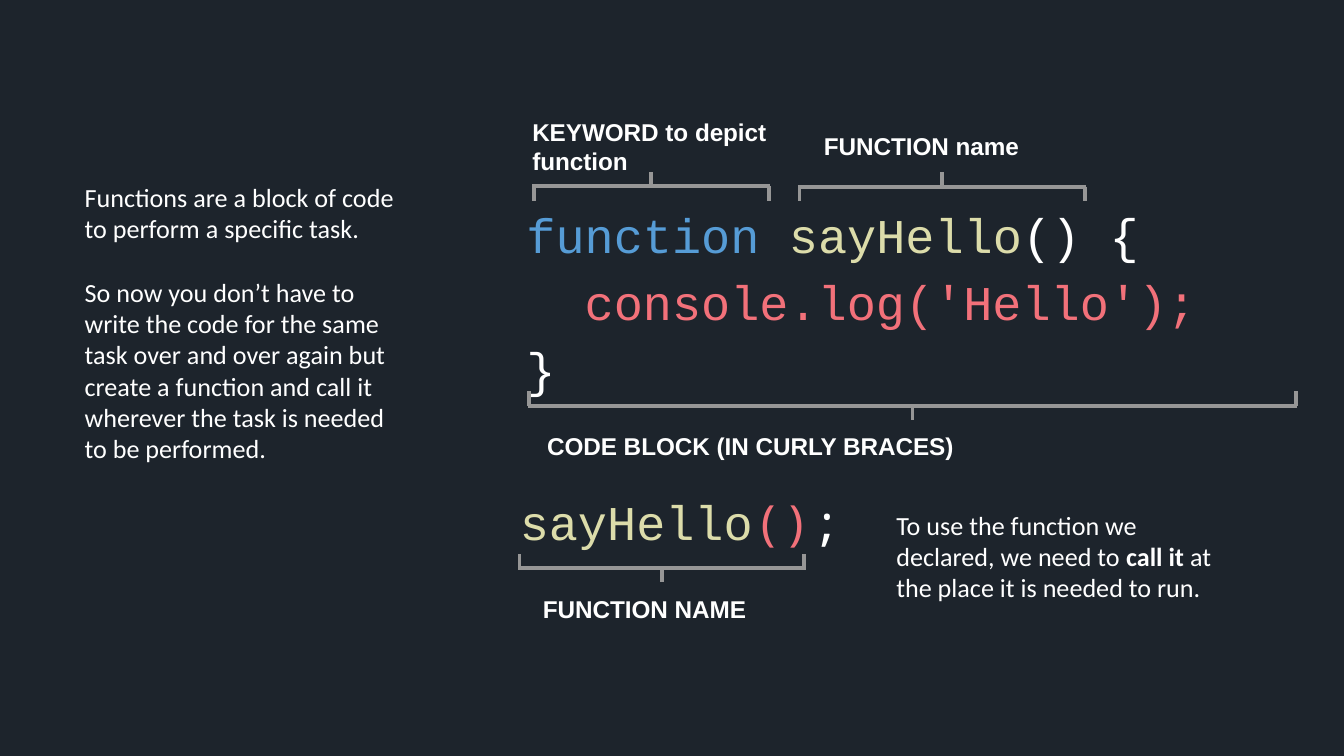
from pptx import Presentation
from pptx.dml.color import RGBColor
from pptx.enum.shapes import MSO_CONNECTOR
from pptx.enum.text import MSO_ANCHOR, MSO_AUTO_SIZE, PP_ALIGN
from pptx.oxml.ns import qn
from pptx.util import Cm, Pt
from lxml import etree

STRAIGHT = MSO_CONNECTOR.STRAIGHT
MIDDLE = MSO_ANCHOR.MIDDLE
FIT_SHAPE = MSO_AUTO_SIZE.SHAPE_TO_FIT_TEXT
LEFT = PP_ALIGN.LEFT
CENTER = PP_ALIGN.CENTER

NIGHT = RGBColor(0x1D, 0x24, 0x2C)
WHITE = RGBColor(0xFF, 0xFF, 0xFF)
GRAY = RGBColor(0x96, 0x96, 0x96)
BLUE = RGBColor(0x56, 0x9C, 0xD6)
YELLOW = RGBColor(0xDC, 0xDC, 0xAA)
CORAL = RGBColor(0xF2, 0x71, 0x7A)

BODY_FONT = "Calibri"
LABEL_FONT = "Arial"
CODE_FONT = "Courier New"
MONO_FONT = "Noto Sans Mono"

TICK = 0.27
HALF_LINE = 0.03


def add_box(shapes, left, top, width, height, inset):
    box = shapes.add_textbox(Cm(left), Cm(top), Cm(width), Cm(height))
    frame = box.text_frame
    frame.word_wrap = True
    frame.margin_left = frame.margin_right = Cm(inset)
    frame.margin_top = frame.margin_bottom = Cm(inset)
    return frame


def add_span(para, text, size, font, color=WHITE, bold=False):
    span = para.add_run()
    span.text = text
    span.font.size = Pt(size)
    span.font.name = font
    span.font.color.rgb = color
    span.font.bold = bold


def add_prose(page, left, top, height, paragraphs):
    frame = add_box(page.shapes, left, top, 6.65, height, 0.25)
    frame.auto_size = FIT_SHAPE
    for index, spans in enumerate(paragraphs):
        para = frame.add_paragraph() if index else frame.paragraphs[0]
        if index:
            para.space_before = Pt(17)
        for text, bold in spans:
            add_span(para, text, 14, BODY_FONT, bold=bold)


def add_code(page, left, top, height, lines, spacing, alignment):
    frame = add_box(page.shapes, left, top, 19.05, height, 1.85)
    frame.vertical_anchor = MIDDLE
    para = frame.paragraphs[0]
    para.alignment = alignment
    para.line_spacing = spacing
    for index, spans in enumerate(lines):
        if index:
            para.add_line_break()
        for text, color, font in spans:
            add_span(para, text, 26, font, color)


def add_line(shapes, x1, y1, x2, y2):
    line = shapes.add_connector(STRAIGHT, Cm(x1), Cm(y1), Cm(x2), Cm(y2))
    line.line.color.rgb = GRAY
    line.line.width = Pt(2)
    etree.SubElement(line._element.spPr, qn("a:effectLst"))


def add_bracket(page, left, right, y, tip, label, label_left, label_top, label_width):
    shapes = page.shapes.add_group_shape().shapes
    middle = (left + right) / 2
    for x, end in ((left, y - tip), (right, y - tip), (middle, y + tip)):
        add_line(shapes, x, y, x, end)
    add_line(shapes, left - HALF_LINE, y, right + HALF_LINE, y)
    frame = add_box(shapes, label_left, label_top, label_width, 0.56, 0)
    add_span(frame.paragraphs[0], label, 13, LABEL_FONT, bold=True)


def main():
    deck = Presentation()
    deck.slide_width = Cm(25.4)
    deck.slide_height = Cm(14.29)
    page = deck.slides.add_slide(deck.slide_layouts[6])
    page.background.fill.solid()
    page.background.fill.fore_color.rgb = NIGHT

    add_prose(page, 1.35, 3.18, 5.89, [
        [("Functions are a block of code to perform a specific task.", False)],
        [("So now you don’t have to write the code for the same task over and over "
          "again but create a function and call it wherever the task is needed to "
          "be performed.", False)],
    ])

    add_code(page, 8.1, 3.58, 4.06, [
        [("function ", BLUE, CODE_FONT), ("sayHello", YELLOW, CODE_FONT),
         ("() {", WHITE, CODE_FONT)],
        [("  console.log('Hello');", CORAL, CODE_FONT)],
        [("}", WHITE, CODE_FONT)],
    ], 1.15, LEFT)
    add_bracket(page, 10, 24.49, 7.67, TICK,
                "CODE BLOCK (IN CURLY BRACES)", 10.34, 8.15, 13.79)
    add_bracket(page, 15.11, 20.5, 3.53, -TICK,
                "FUNCTION name", 15.57, 2.49, 4.47)
    add_bracket(page, 10.09, 14.53, 3.52, -TICK,
                "KEYWORD to depict function", 10.06, 2.21, 4.5)

    add_code(page, 3.33, 8.48, 2.9, [
        [("sayHello", YELLOW, CODE_FONT), ("()", CORAL, MONO_FONT),
         (";", WHITE, MONO_FONT)],
    ], 0.9, CENTER)
    add_bracket(page, 9.82, 15.2, 10.74, TICK,
                "FUNCTION NAME", 10.26, 11.23, 4.47)
    add_prose(page, 16.69, 9.37, 2.31, [
        [("To use the function we declared, we need to ", False),
         ("call it ", True), ("at the place it is needed to run.", False)],
    ])

    deck.save("out.pptx")


if __name__ == "__main__":
    main()
